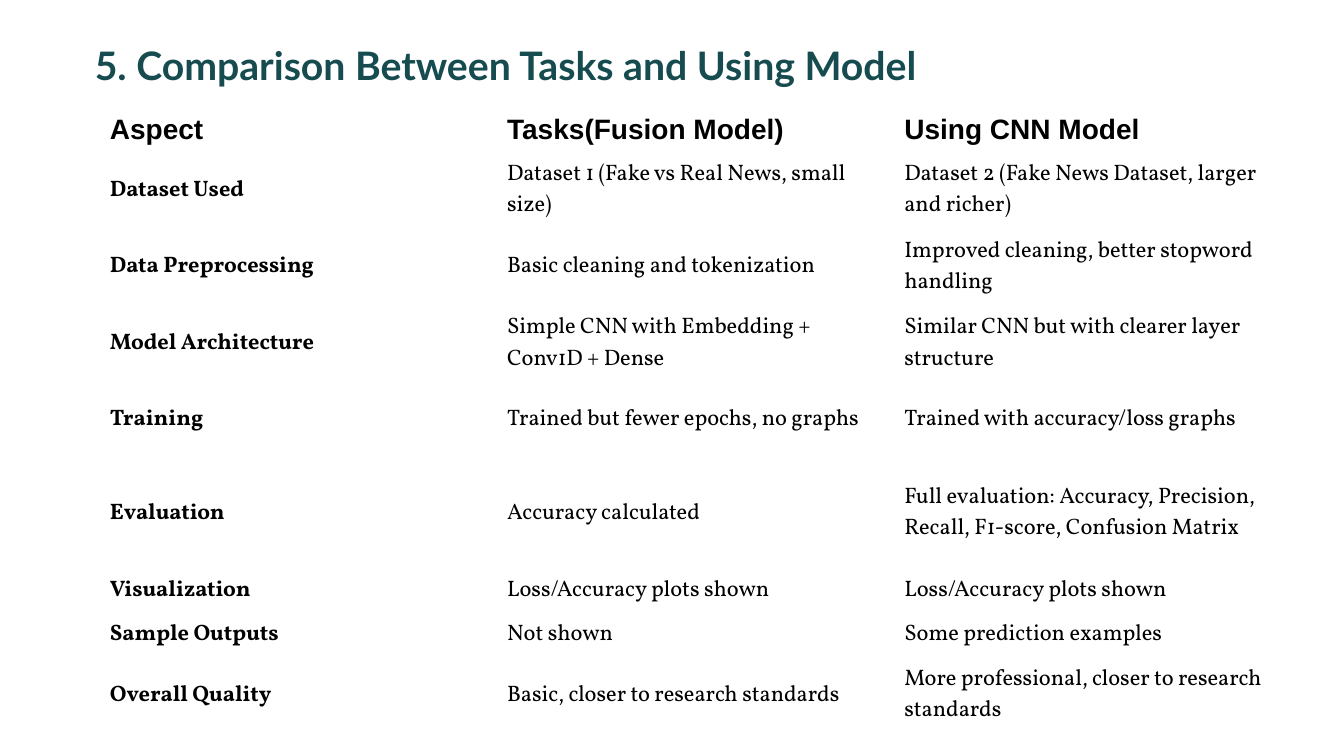
from typing import NamedTuple

from pptx import Presentation
from pptx import util as u
from pptx.dml.color import RGBColor
from pptx.enum import text

COLORS = {"heading": "164B4F", "body": "000000"}


class Style(NamedTuple):
    font: str
    size: int
    bold: bool
    color: str


class Aspect(NamedTuple):
    height: float
    name: str
    fusion: str
    cnn: str


HEADING = Style("Lato", 28, True, "heading")
COLUMN_HEAD = Style("Arial", 20, True, "body")
ASPECT_NAME = Style("Vollkorn", 16, True, "body")
FINDING = Style("Vollkorn", 16, False, "body")

COLUMN_WIDTH = 3.94
ASPECTS = [
    Aspect(0.44, "Aspect", "Tasks(Fusion Model)", "Using CNN Model"),
    Aspect(0.76, "Dataset Used", "Dataset 1 (Fake vs Real News, small size)",
           "Dataset 2 (Fake News Dataset, larger and richer)"),
    Aspect(0.76, "Data Preprocessing", "Basic cleaning and tokenization",
           "Improved cleaning, better stopword handling"),
    Aspect(0.76, "Model Architecture", "Simple CNN with Embedding + Conv1D + Dense",
           "Similar CNN but with clearer layer structure"),
    Aspect(0.76, "Training", "Trained but fewer epochs, no graphs",
           "Trained with accuracy/loss graphs"),
    Aspect(1.09, "Evaluation", "Accuracy calculated",
           "Full evaluation: Accuracy, Precision, Recall, F1-score, Confusion Matrix"),
    Aspect(0.44, "Visualization", "Loss/Accuracy plots shown", "Loss/Accuracy plots shown"),
    Aspect(0.44, "Sample Outputs", "Not shown", "Some prediction examples"),
    Aspect(0.76, "Overall Quality", "Basic, closer to research standards",
           "More professional, closer to research standards"),
]


def write(frame, words: str, style: Style) -> None:
    paragraph = frame.paragraphs[0]
    paragraph.alignment = text.PP_ALIGN.LEFT
    run = paragraph.add_run()
    run.text = words
    run.font.name = style.font
    run.font.size = u.Pt(style.size)
    run.font.bold = style.bold
    run.font.color.rgb = RGBColor.from_string(COLORS[style.color])


def add_heading(slide, words: str) -> None:
    heading = slide.shapes.title
    heading.left, heading.top = u.Inches(0.84), u.Inches(0.36)
    heading.width, heading.height = u.Inches(11.65), u.Inches(0.57)
    heading.text_frame.vertical_anchor = text.MSO_ANCHOR.TOP
    heading.text_frame.auto_size = text.MSO_AUTO_SIZE.NONE
    write(heading.text_frame, words, HEADING)


def style_for(row: int, column: int) -> Style:
    if row == 0:
        return COLUMN_HEAD
    return ASPECT_NAME if column == 0 else FINDING


def add_comparison(slide, aspects: list[Aspect]) -> None:
    total_height = sum(aspect.height for aspect in aspects)
    comparison = slide.shapes.add_table(
        len(aspects), 3, u.Inches(1), u.Inches(1.07),
        u.Inches(3 * COLUMN_WIDTH), u.Inches(total_height)).table
    comparison.horz_banding = False
    comparison.first_row = False
    for column in comparison.columns:
        column.width = u.Inches(COLUMN_WIDTH)
    for row, aspect in enumerate(aspects):
        comparison.rows[row].height = u.Inches(aspect.height)
        for column, words in enumerate(aspect[1:]):
            cell = comparison.cell(row, column)
            cell.fill.background()
            cell.vertical_anchor = text.MSO_ANCHOR.MIDDLE
            cell.margin_left = cell.margin_right = u.Inches(0.09)
            cell.margin_top = cell.margin_bottom = u.Inches(0.04)
            write(cell.text_frame, words, style_for(row, column))


def main() -> None:
    deck = Presentation()
    deck.slide_width, deck.slide_height = u.Inches(13.33), u.Inches(7.5)
    slide = deck.slides.add_slide(deck.slide_layouts[5])
    add_heading(slide, "5. Comparison Between Tasks and Using Model")
    add_comparison(slide, ASPECTS)
    deck.save("out.pptx")


if __name__ == "__main__":
    main()
